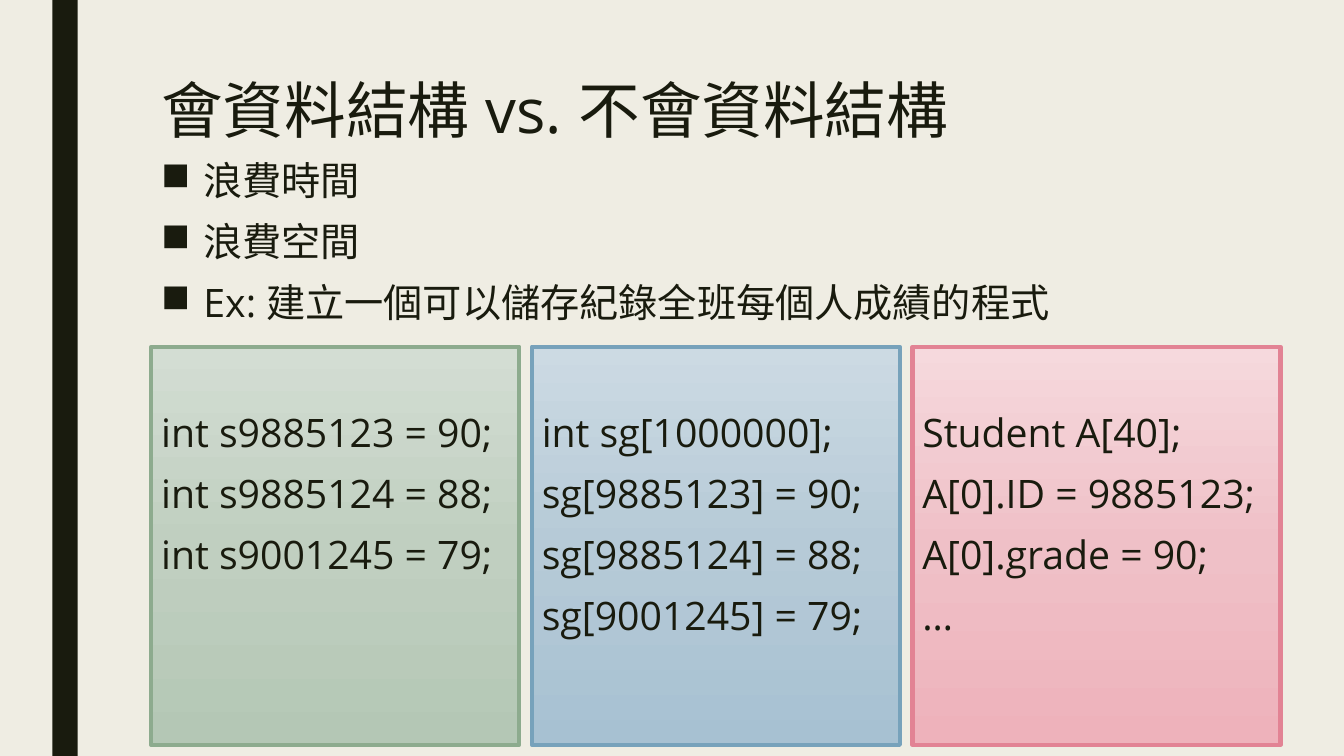
import copy

import pptx
import pptx.dml.color
import pptx.enum.shapes
import pptx.enum.text
import pptx.oxml.ns
import pptx.util
from lxml import etree
from pptx.util import Inches

FONT = "Open Sans"
COLORS = {"background": "EFEDE3", "ink": "191B0E"}
TOPICS = ["浪費時間", "浪費空間", "Ex: 建立一個可以儲存紀錄全班每個人成績的程式"]
EXAMPLES = [
    (["D3DDD3", "C0CFC0", "B4C7B5"], "8DAB8E",
     ["int s9885123 = 90;", "int s9885124 = 88;", "int s9001245 = 79;"]),
    (["CCDAE3", "B6CAD7", "A7C1D2"], "77A2BB",
     ["int sg[1000000];", "sg[9885123] = 90;", "sg[9885124] = 88;", "sg[9001245] = 79;"]),
    (["F6D9DD", "EFC0C7", "EEB2BB"], "E28394",
     ["Student A[40];", "A[0].ID = 9885123;", "A[0].grade = 90;", "…"]),
]


def rgb(value):
    """Return the color object for a hex string."""
    return pptx.dml.color.RGBColor.from_string(value)


def write_lines(frame, lines, size, line_spacing, before=0, after=0):
    """Fill a text frame with one left-aligned paragraph per line."""
    frame.word_wrap = True
    frame.auto_size = pptx.enum.text.MSO_AUTO_SIZE.NONE
    frame.vertical_anchor = pptx.enum.text.MSO_ANCHOR.TOP
    frame.text = "\n".join(lines)
    for paragraph in frame.paragraphs:
        paragraph.alignment = pptx.enum.text.PP_ALIGN.LEFT
        paragraph.line_spacing = line_spacing
        paragraph.space_before = pptx.util.Pt(before)
        paragraph.space_after = pptx.util.Pt(after)
        for run in paragraph.runs:
            run.font.size = pptx.util.Pt(size)
            run.font.name = FONT
            run.font.color.rgb = rgb(COLORS["ink"])
            east_asian = etree.SubElement(run.font._element, pptx.oxml.ns.qn("a:ea"))
            east_asian.set("typeface", FONT)


def write_body(frame, lines):
    """Write lines in the shared body style."""
    write_lines(frame, lines, 28, 0.94, 10, 2)


def add_bullets(frame):
    """Give every paragraph a square bullet with a hanging indent."""
    for paragraph in frame.paragraphs:
        properties = paragraph._p.get_or_add_pPr()
        properties.set("marL", str(Inches(0.42)))
        properties.set("indent", str(-Inches(0.42)))
        bullet = etree.SubElement(properties, pptx.oxml.ns.qn("a:buChar"))
        bullet.set("char", "■")


def add_rectangle(slide, left, top, width, height):
    """Add a rectangle without a shadow."""
    rectangle = slide.shapes.add_shape(
        pptx.enum.shapes.MSO_SHAPE.RECTANGLE,
        Inches(left), Inches(top), Inches(width), Inches(height))
    rectangle.shadow.inherit = False
    return rectangle


def fill_gradient(fill, stop_colors, shape):
    """Apply evenly spaced gradient stops from top to bottom."""
    fill.gradient()
    fill.gradient_angle = 270
    stop_list = shape._element.spPr.find(".//" + pptx.oxml.ns.qn("a:gsLst"))
    stop_list.insert(1, copy.deepcopy(stop_list[0]))
    for index, (stop, color) in enumerate(zip(fill.gradient_stops, stop_colors)):
        stop.position = index / (len(stop_colors) - 1)
        stop.color.rgb = rgb(color)


def add_code_panel(slide, left, stop_colors, border, code):
    """Add one gradient panel holding a code example."""
    panel = add_rectangle(slide, left, 3.44, 3.65, 3.95)
    fill_gradient(panel.fill, stop_colors, panel)
    panel.line.color.rgb = rgb(border)
    panel.line.width = pptx.util.Pt(3)
    panel.text_frame.margin_top = Inches(0.65)
    write_body(panel.text_frame, code)


def main():
    """Build and save the slide."""
    presentation = pptx.Presentation()
    presentation.slide_width = Inches(13.33)
    presentation.slide_height = Inches(7.5)
    slide = presentation.slides.add_slide(presentation.slide_layouts[5])
    slide.background.fill.solid()
    slide.background.fill.fore_color.rgb = rgb(COLORS["background"])

    side_bar = add_rectangle(slide, 0.52, 0, 0.25, 7.5)
    side_bar.fill.solid()
    side_bar.fill.fore_color.rgb = rgb(COLORS["ink"])
    side_bar.line.fill.background()

    title = slide.shapes.title
    title.left, title.top = Inches(1.5), Inches(0.75)
    title.width, title.height = Inches(10.5), Inches(0.79)
    write_lines(title.text_frame, ["會資料結構 vs. 不會資料結構"], 44, 0.89)

    topics = slide.shapes.add_textbox(Inches(1.5), Inches(1.54), Inches(10.5), Inches(5.26))
    write_body(topics.text_frame, TOPICS)
    add_bullets(topics.text_frame)

    for column, (stop_colors, border, code) in enumerate(EXAMPLES):
        add_code_panel(slide, 1.5 + column * 3.775, stop_colors, border, code)

    presentation.save("out.pptx")


if __name__ == "__main__":
    main()
